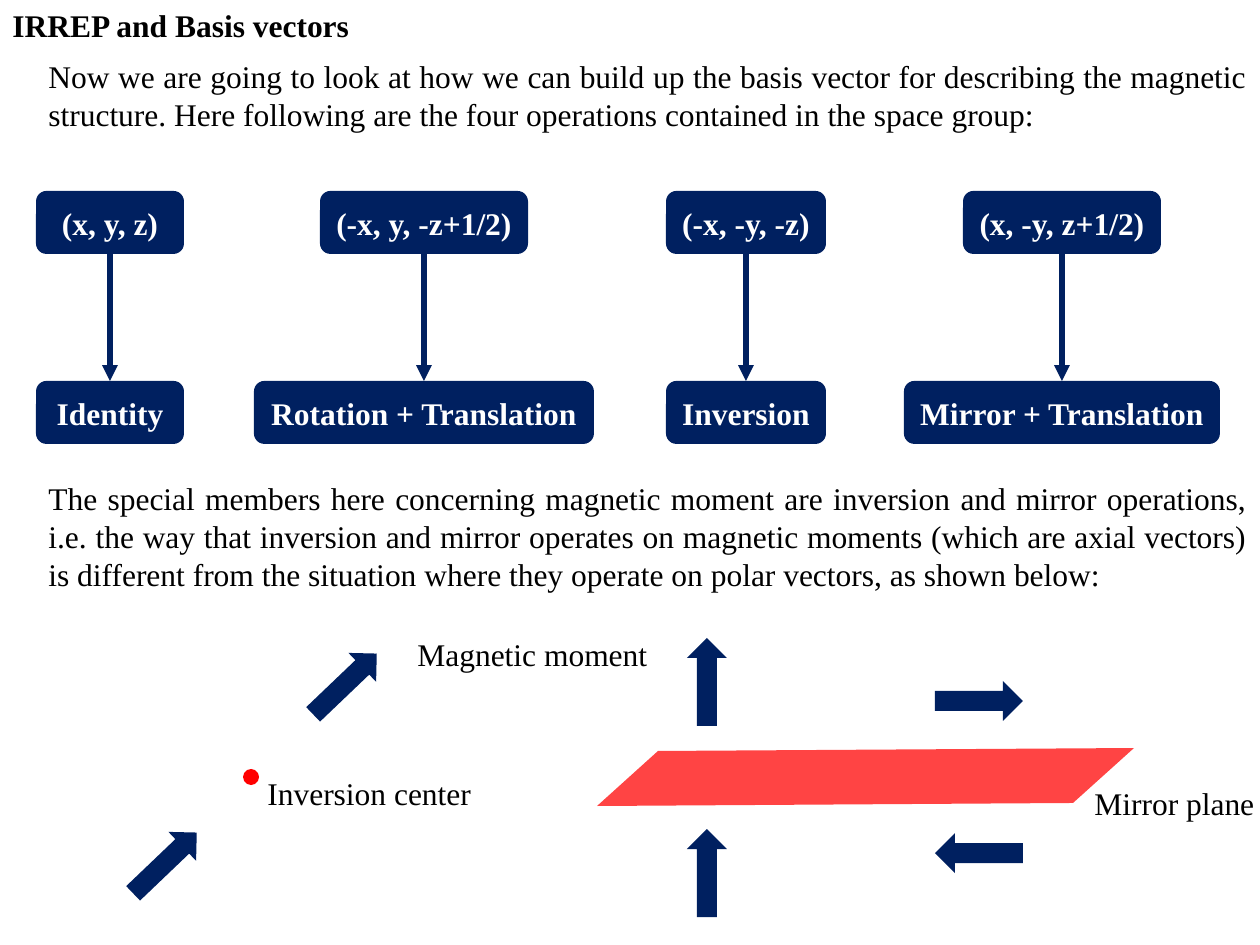
from pptx import Presentation
from pptx.dml.color import RGBColor as Rgb
from pptx.enum.shapes import MSO_CONNECTOR as Conn, MSO_SHAPE as Kind
from pptx.enum.text import MSO_ANCHOR as Anchor, PP_ALIGN as Align
from pptx.oxml.ns import qn
from pptx.util import Pt
from lxml.etree import SubElement as Sub

PX = 914400 / 126
THEME = {
    "navy": Rgb(0x00, 0x20, 0x60), "red": Rgb(0xFF, 0x00, 0x00),
    "plane": Rgb(0xFF, 0x44, 0x44), "black": Rgb(0, 0, 0),
    "white": Rgb(0xFF, 0xFF, 0xFF),
    "font": "Times New Roman", "size": Pt(18), "line": Pt(3),
}

# Content: text, box in px, and whether it is bold / justified
TEXTS = [
    ("IRREP and Basis vectors", (0, 0, 365, 51), True, False),
    ("Now we are going to look at how we can build up the basis vector for "
     "describing the magnetic structure. Here following are the four "
     "operations contained in the space group:", (36, 51, 1224, 89), False, True),
    ("The special members here concerning magnetic moment are inversion and "
     "mirror operations, i.e. the way that inversion and mirror operates on "
     "magnetic moments (which are axial vectors) is different from the "
     "situation where they operate on polar vectors, as shown below:",
     (36, 473, 1224, 127), False, True),
    ("Inversion center", (255, 768, 232, 51), False, False),
    ("Mirror plane", (1082, 778, 188, 51), False, False),
    ("Magnetic moment", (405, 629, 258, 51), False, False),
]
# Middle x, then text and width of the upper and the lower box
STEPS = [
    (110, ("(x, y, z)", 148), ("Identity", 148)),
    (424, ("(-x, y, -z+1/2)", 208), ("Rotation + Translation", 340)),
    (746, ("(-x, -y, -z)", 160), ("Inversion", 160)),
    (1062, ("(x, -y, z+1/2)", 198), ("Mirror + Translation", 316)),
]
ROWS, TALL = (191, 381), 63
# Middle x, middle y, turn in degrees
MOMENTS = [(345, 684, 316.3), (165, 863, 316.3), (707, 682, 270),
           (707, 873, 270), (979, 701, 0), (979, 853, 180)]
PLANE = [(597, 806), (658, 751), (1134, 748), (1073, 803)]


def emu(*vals):
    return [round(v * PX) for v in vals]


def put(obj, vals):
    for key, val in vals.items():
        setattr(obj, key, val)


def write(shape, text, color, bold, align, **frame):
    put(shape.text_frame, frame)
    para = shape.text_frame.paragraphs[0]
    para.alignment = align
    run = para.add_run()
    run.text = text
    put(run.font, {"name": THEME["font"], "size": THEME["size"], "bold": bold})
    run.font.color.rgb = THEME[color]


def paint(shape, color):
    shape.shadow.inherit = False
    shape.fill.solid()
    shape.fill.fore_color.rgb = THEME[color]
    shape.line.fill.background()
    return shape


def center(kind, x, y, w, h, color):
    box = emu(x - w / 2, y - h / 2, w, h)
    return paint(slide.shapes.add_shape(kind, *box), color)


def join(top, low):
    line = slide.shapes.add_connector(Conn.STRAIGHT, 0, 0, 0, 0)
    line.begin_connect(top, 2)
    line.end_connect(low, 0)
    line.line.color.rgb = THEME["navy"]
    line.line.width = THEME["line"]
    Sub(line.line._get_or_add_ln(), qn("a:tailEnd"), type="triangle")
    Sub(line._element.spPr, qn("a:effectLst"))


deck = Presentation()
deck.slide_width, deck.slide_height = emu(1260, 945)
slide = deck.slides.add_slide(deck.slide_layouts[6])

# Operations and their meaning
for mid, *pair in STEPS:
    boxes = []
    for (text, wide), top in zip(pair, ROWS):
        box = center(Kind.ROUNDED_RECTANGLE, mid, top + TALL / 2, wide, TALL, "navy")
        write(box, text, "white", True, Align.CENTER, word_wrap=False,
              vertical_anchor=Anchor.MIDDLE)
        boxes.append(box)
    join(*boxes)

# Inversion center, mirror plane and moments
center(Kind.OVAL, 251, 777, 16, 16, "red")
pen = slide.shapes.build_freeform(*PLANE[0], scale=PX)
pen.add_line_segments(PLANE[1:], close=True)
paint(pen.convert_to_shape(), "plane")
for x, y, turn in MOMENTS:
    center(Kind.RIGHT_ARROW, x, y, 88, 40, "navy").rotation = turn

# Text
for text, box, bold, full in TEXTS:
    write(slide.shapes.add_textbox(*emu(*box)), text, "black", bold,
          Align.JUSTIFY if full else Align.LEFT, word_wrap=full)

deck.save("out.pptx")
